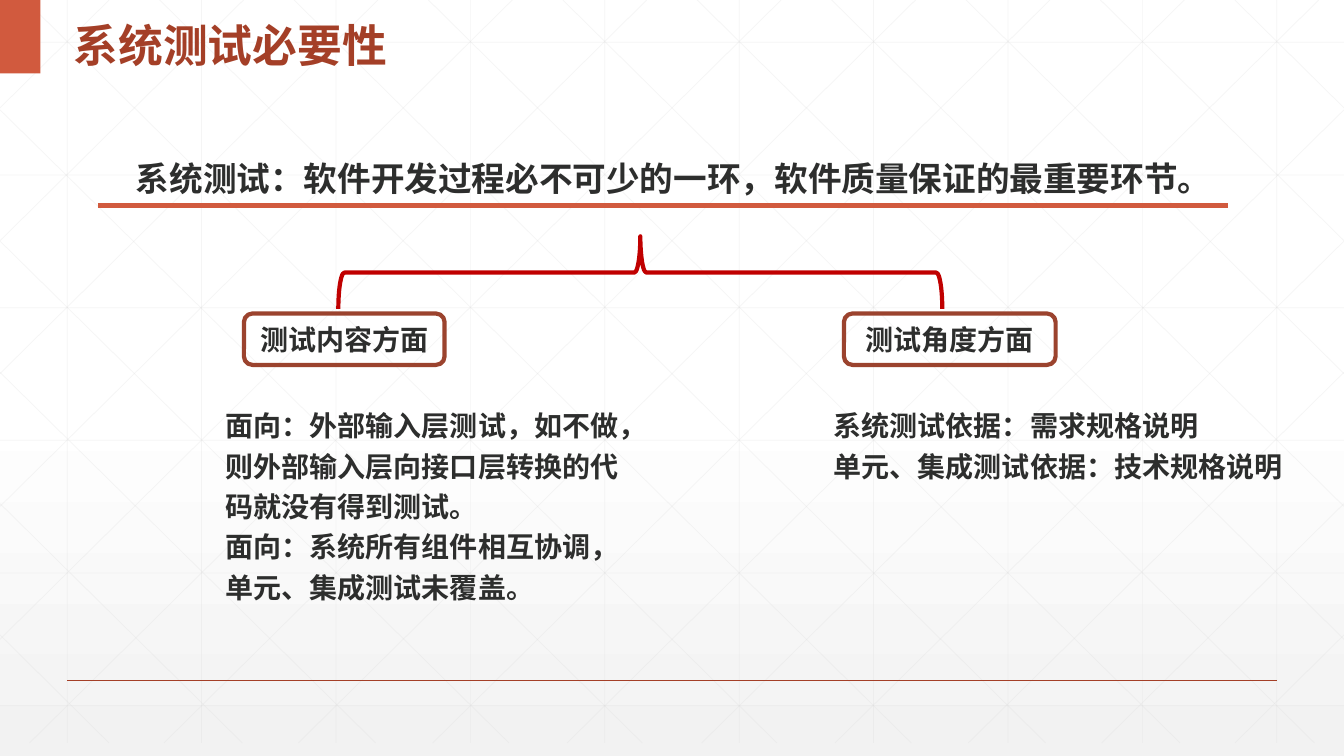
"""Builds the slide on why system testing is necessary."""
from dataclasses import dataclass

from lxml import etree
from pptx import Presentation
from pptx import util as u
from pptx.dml.color import RGBColor
from pptx.enum import shapes, text
from pptx.oxml import parse_xml
from pptx.oxml.ns import nsdecls, qn

TITLE = "系统测试必要性"
HEADLINE = "系统测试：软件开发过程必不可少的一环，软件质量保证的最重要环节。"
ASPECTS = [
    {
        "label": "测试内容方面",
        "label_box": (18.15, 41.47, 14.93, 6.8),
        "points": ["面向：外部输入层测试，如不做，则外部输入层向接口层转换的代码就没有得到测试。",
                   "面向：系统所有组件相互协调，单元、集成测试未覆盖。"],
        "points_box": (16.05, 52.53, 31.58, 28.27),
    },
    {
        "label": "测试角度方面",
        "label_box": (62.79, 41.47, 15.75, 6.8),
        "points": ["系统测试依据：需求规格说明", "单元、集成测试依据：技术规格说明"],
        "points_box": (61.29, 52.53, 37.36, 12.13),
    },
]
GRID_BOTTOM = 98.27
DIAGONAL_REACH = 55.92
BACKGROUND_STOPS = [(0, "FFFFFF"), (53, "FFFFFF"), (100, "F2F2F2")]


@dataclass(frozen=True)
class Theme:
    accent: str = "D15A3E"
    title: str = "A43F27"
    frame: str = "9B432E"
    brace: str = "C00000"
    ink: str = "2D2E2D"
    grid: str = "D9D9D9"
    title_font: str = "Noto Sans CJK SC"
    body_font: str = "Arial"
    title_size: int = 32
    headline_size: int = 24
    body_size: int = 20


THEME = Theme()
presentation = Presentation()
presentation.slide_width = u.Inches(13.33)
presentation.slide_height = u.Inches(7.5)
slide = presentation.slides.add_slide(presentation.slide_layouts[6])


def across(share):
    return round(presentation.slide_width * share / 100)


def down(share):
    return round(presentation.slide_height * share / 100)


def place(box):
    left, top, width, height = box
    return across(left), down(top), across(width), down(height)


def paint_background():
    stops = "".join(f'<a:gs pos="{share * 1000}"><a:srgbClr val="{color}"/></a:gs>'
                    for share, color in BACKGROUND_STOPS)
    slide.background.fill.solid()
    properties = slide.background._cSld.bg.bgPr
    properties.replace(properties[0], parse_xml(
        f'<a:gradFill {nsdecls("a")} rotWithShape="1"><a:gsLst>{stops}</a:gsLst>'
        '<a:lin ang="5400000" scaled="0"/></a:gradFill>'))


def add_line(parent, start, end, color, width, opacity=100):
    connector = parent.add_connector(shapes.MSO_CONNECTOR.STRAIGHT, across(start[0]),
                                     down(start[1]), across(end[0]), down(end[1]))
    connector.line.color.rgb = RGBColor.from_string(color)
    connector.line.width = u.Pt(width)
    properties = connector._element.spPr
    if opacity < 100:
        solid_color = properties.find(".//" + qn("a:srgbClr"))
        etree.SubElement(solid_color, qn("a:alpha"), val=str(opacity * 1000))
    etree.SubElement(properties, qn("a:effectLst"))


def grid_lines():
    for column in range(10):
        x = 5 + 10 * column
        yield (x, 0), (x, GRID_BOTTOM)
    for row in range(6):
        y = 5.6 + 17.55 * row
        yield (0, y), (100, y)
    diagonals = []
    for column in range(10):
        x = 1.88 + 10 * column
        reach = min(DIAGONAL_REACH, 100 - x)
        diagonals.append(((x, 0), (x + reach, reach * GRID_BOTTOM / DIAGONAL_REACH)))
    for row in range(5):
        diagonals.append(((47.79 - 9.92 * row, GRID_BOTTOM), (0, 14.53 + 17.36 * row)))
    for start, end in diagonals:
        yield start, end
        yield (100 - start[0], start[1]), (100 - end[0], end[1])


def add_shape(kind, box, fill=None, line=None):
    shape = slide.shapes.add_shape(kind, *place(box))
    shape.shadow.inherit = False
    if fill:
        shape.fill.solid()
        shape.fill.fore_color.rgb = RGBColor.from_string(fill)
    else:
        shape.fill.background()
    if line:
        shape.line.color.rgb = RGBColor.from_string(line)
        shape.line.width = u.Pt(3)
    else:
        shape.line.fill.background()
    return shape


def write(shape, lines, size, color=THEME.ink, font=THEME.body_font, spacing=1.2,
          align=text.PP_ALIGN.LEFT, anchor=text.MSO_ANCHOR.TOP):
    frame = shape.text_frame
    frame.word_wrap = True
    frame.vertical_anchor = anchor
    frame.text = "\n".join(lines)
    for paragraph in frame.paragraphs:
        paragraph.alignment = align
        paragraph.line_spacing = spacing
        for run in paragraph.runs:
            run.font.size = u.Pt(size)
            run.font.bold = True
            run.font.name = font
            run.font.color.rgb = RGBColor.from_string(color)
            etree.SubElement(run._r.rPr, qn("a:ea"), typeface=font)


def add_text(box, lines, size, **style):
    write(slide.shapes.add_textbox(*place(box)), lines, size, **style)


paint_background()
grid = slide.shapes.add_group_shape()
for line_start, line_end in grid_lines():
    add_line(grid.shapes, line_start, line_end, THEME.grid, 0.5, opacity=25)
add_line(slide.shapes, (5, 90), (95, 90), THEME.title, 1)
add_shape(shapes.MSO_SHAPE.RECTANGLE, (0, 0, 3, 9.73), fill=THEME.accent)
add_text((4.73, 0, 42.68, 9.73), [TITLE], THEME.title_size, color=THEME.title,
         font=THEME.title_font, spacing=1.3, anchor=text.MSO_ANCHOR.MIDDLE)
add_text((6.08, 19.2, 88.07, 7.87), [HEADLINE], THEME.headline_size,
         align=text.PP_ALIGN.CENTER)
add_line(slide.shapes, (7.28, 27.2), (91.37, 27.2), THEME.accent, 4)
for aspect in ASPECTS:
    label = add_shape(shapes.MSO_SHAPE.ROUNDED_RECTANGLE, aspect["label_box"], line=THEME.frame)
    write(label, [aspect["label"]], THEME.body_size, spacing=1.0,
          align=text.PP_ALIGN.CENTER, anchor=text.MSO_ANCHOR.MIDDLE)
    add_text(aspect["points_box"], aspect["points"], THEME.body_size)
brace = add_shape(shapes.MSO_SHAPE.LEFT_BRACE, (44.94, -3.87, 5.4, 79.87), line=THEME.brace)
brace.rotation = 90
presentation.save("out.pptx")
